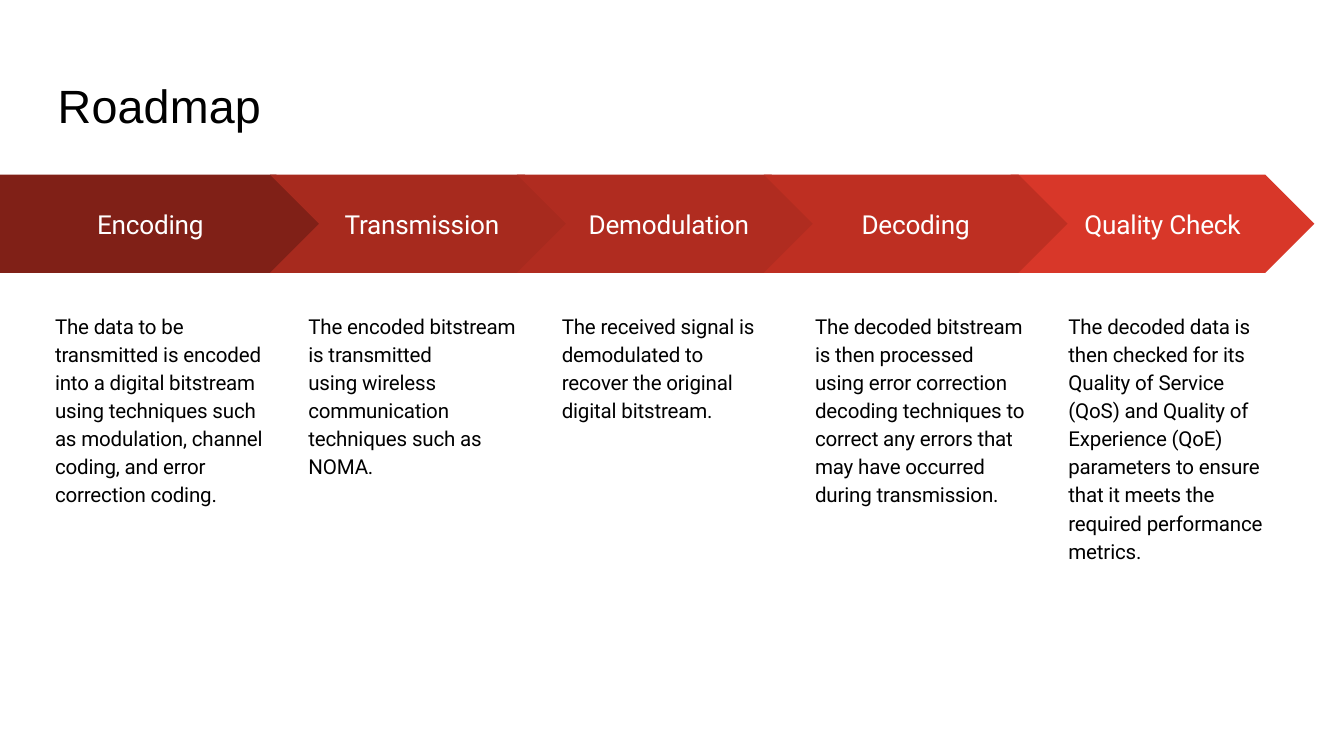
from pptx import Presentation
from pptx.util import Inches, Pt
from pptx.dml.color import RGBColor
from pptx.enum.shapes import MSO_SHAPE
from pptx.enum.text import MSO_ANCHOR, PP_ALIGN

TITLE = "Roadmap"
STEPS = [
    ("Encoding", "802017", 1.6, [
        "The data to be transmitted is encoded into a digital bitstream using "
        "techniques such as modulation, channel coding, and error correction coding."]),
    ("Transmission", "A72A1E", 1.6, [
        "The encoded bitstream is transmitted",
        "using wireless communication techniques such as NOMA."]),
    ("Demodulation", "B02C20", 1.52, [
        "The received signal is demodulated to recover the original digital bitstream."]),
    ("Decoding", "BE2F22", 1.6, [
        "The decoded bitstream is then processed using\u00a0error correction decoding "
        "techniques to correct any errors that may have occurred during transmission."]),
    ("Quality Check", "D83729", 1.5, [
        "The decoded data is then checked for its Quality of Service (QoS) and "
        "Quality of Experience (QoE) parameters to ensure that it meets the "
        "required performance metrics."]),
]
ORDER = [0, 1, 2, 4, 3]

THEME = {
    "title": {"name": "Arial", "size": Pt(25), "color": "000000", "spc": "10"},
    "label": {"name": "Roboto", "size": Pt(14), "color": "FFFFFF", "spc": "-15"},
    "body": {"name": "Roboto", "size": Pt(11), "color": "000000", "spc": "-10"},
}
WIDE = 10
HIGH = WIDE * 9 / 16
BAND_TOP, BAND_HIGH = 1.3, 0.73
FIRST_WIDE, STEP_WIDE = 2.42, 2.26
STEP_LEFT, LAST_LEFT = 2.01, 7.52
STEP_PITCH = (LAST_LEFT - STEP_LEFT) / 3
TEXT_LEFT, TEXT_LAST, TEXT_TOP = 0.41, 7.95, 2.3
TEXT_PITCH = (TEXT_LAST - TEXT_LEFT) / 4


def put(obj, vals):
    for key, val in vals.items():
        setattr(obj, key, val)


def write(shape, lines, role, frame, para):
    look = THEME[role]
    body = shape.text_frame
    put(body, {"word_wrap": True, "margin_left": 0, "margin_right": 0,
               "margin_top": 0, "margin_bottom": 0, **frame})
    body.text = "\n".join(lines)
    for par in body.paragraphs:
        put(par, para)
        for run in par.runs:
            put(run.font, {"name": look["name"], "size": look["size"]})
            run.font.color.rgb = RGBColor.from_string(look["color"])
            run._r.get_or_add_rPr().set("spc", look["spc"])


def box(slide, left, top, wide, high, lines, role, **para):
    area = slide.shapes.add_textbox(*map(Inches, (left, top, wide, high)))
    write(area, lines, role, {"margin_top": Inches(0.01)}, para)
    area.text_frame.paragraphs[0].space_before = Pt(1)


def arrow(slide, num, name, color):
    if num:
        kind, left, wide = MSO_SHAPE.CHEVRON, STEP_LEFT + (num - 1) * STEP_PITCH, STEP_WIDE
    else:
        kind, left, wide = MSO_SHAPE.PENTAGON, 0, FIRST_WIDE
    shape = slide.shapes.add_shape(kind, *map(Inches, (left, BAND_TOP, wide, BAND_HIGH)))
    shape.shadow.inherit = False
    shape.fill.solid()
    shape.fill.fore_color.rgb = RGBColor.from_string(color)
    shape.line.fill.background()
    write(shape, [name], "label", {"vertical_anchor": MSO_ANCHOR.MIDDLE},
          {"alignment": PP_ALIGN.CENTER})


deck = Presentation()
put(deck, {"slide_width": Inches(WIDE), "slide_height": Inches(HIGH)})
slide = deck.slides.add_slide(deck.slide_layouts[6])

box(slide, 0.43, 0.56, 1.6, 0.45, [TITLE], "title")
for num in ORDER:
    name, color, wide, lines = STEPS[num]
    arrow(slide, num, name, color)
    box(slide, TEXT_LEFT + num * TEXT_PITCH, TEXT_TOP, wide, 1.49, lines, "body",
        line_spacing=1.14)

deck.save("out.pptx")
